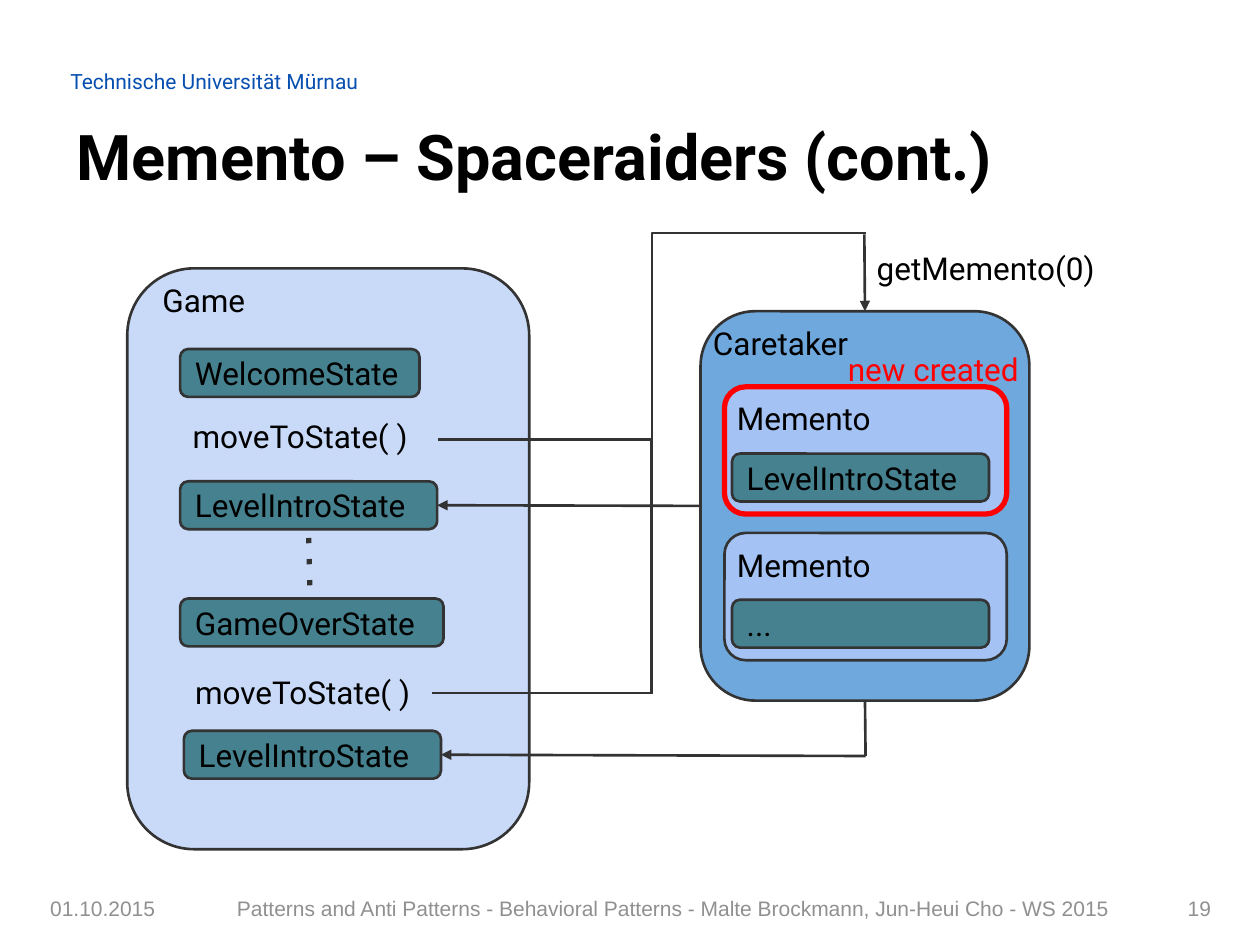
from lxml.etree import SubElement
from pptx import Presentation
from pptx.dml.color import RGBColor
from pptx.enum.shapes import MSO_CONNECTOR as Connector, MSO_SHAPE as Shape
from pptx.enum.text import MSO_ANCHOR as Anchor, MSO_AUTO_SIZE as AutoSize, PP_ALIGN as Align
from pptx.oxml.ns import qn
from pptx.util import Emu, Pt

PX = 9144  # 100 px to the inch

BLACK = RGBColor(0x00, 0x00, 0x00)
DARK = RGBColor(0x33, 0x33, 0x33)
RED = RGBColor(0xFF, 0x00, 0x00)
BLUE = RGBColor(0x07, 0x4F, 0xB0)
GREY = RGBColor(0x90, 0x90, 0x90)
GAME = RGBColor(0xC9, 0xDA, 0xF8)
CARETAKER = RGBColor(0x6F, 0xA8, 0xDC)
MEMENTO = RGBColor(0xA4, 0xC2, 0xF4)
STATE = RGBColor(0x45, 0x81, 0x8E)

TITLE = "Memento – Spaceraiders (cont.)"
UNIVERSITY = "Technische Universität Mürnau"

STATE_HEIGHT = 38
GAME_STATES = [  # text, left, top, width
    ("WelcomeState", 143, 277, 190),
    ("LevelIntroState", 143, 382, 204),
    ("GameOverState", 143, 475, 209),
    ("LevelIntroState", 146, 580, 204),
]
MEMENTOS = [  # state, top, outline colour, outline width
    ("LevelIntroState", 307, RED, 3),
    ("...", 423, DARK, 1.5),
]
LABELS = [  # text, (left, top, width, height), colour
    ("Game", (119, 213, 301, 55), BLACK),
    ("moveToState( )", (143, 321, 205, 55), BLACK),
    ("moveToState( )", (145, 524, 205, 55), BLACK),
    ("Caretaker", (556, 247, 261, 60), BLACK),
    ("new created", (663, 268, 175, 38), RED),
    ("getMemento(0)", (686, 188, 205, 55), BLACK),
]
FOOTER = [  # text, left, width, alignment
    ("01.10.2015", 30, 112, Align.LEFT),
    ("Patterns and Anti Patterns - Behavioral Patterns - Malte Brockmann, "
     "Jun-Heui Cho - WS 2015", 162, 745, Align.CENTER),
    ("19", 928, 43, Align.RIGHT),
]

TOP, LEFT, BOTTOM, RIGHT = range(4)


def px(*lengths):
    return [Emu(length * PX) for length in lengths]


def write(shape, text, size=18, color=BLACK, font="Roboto", bold=False,
          align=Align.LEFT, anchor=Anchor.TOP, inset=10):
    frame = shape.text_frame
    frame.text = text
    frame.word_wrap = True
    frame.auto_size = AutoSize.NONE
    frame.vertical_anchor = anchor
    frame.margin_left = frame.margin_right = Emu(10 * PX)
    frame.margin_top = frame.margin_bottom = Emu(inset * PX)
    para = frame.paragraphs[0]
    para.alignment = align
    span = para.runs[0].font
    span.name, span.size, span.bold = font, Pt(size), bold
    span.color.rgb = color


def add_label(page, text, place, **style):
    write(page.shapes.add_textbox(*px(*place)), text, **style)


def add_box(page, place, fill, line=DARK, width=1.5):
    box = page.shapes.add_shape(Shape.ROUNDED_RECTANGLE, *px(*place))
    box.shadow.inherit = False
    box.fill.solid()
    box.fill.fore_color.rgb = fill
    box.line.color.rgb = line
    box.line.width = Pt(width)
    return box


def add_state(page, text, left, top, width):
    box = add_box(page, (left, top, width, STATE_HEIGHT), STATE)
    write(box, text, anchor=Anchor.MIDDLE)
    return box


def add_line(page, start, end, kind=Connector.STRAIGHT, width=1.5, arrow=False, dash=None):
    """Start and end are each a point or a (box, side) pair to join."""
    joined = [not isinstance(point[0], int) for point in (start, end)]
    points = [(0, 0) if join else point for join, point in zip(joined, (start, end))]
    line = page.shapes.add_connector(kind, *px(*points[0], *points[1]))
    if joined[0]:
        line.begin_connect(*start)
    if joined[1]:
        line.end_connect(*end)
    line.line.color.rgb = DARK
    line.line.width = Pt(width)
    outline = line.line._get_or_add_ln()
    if dash:
        SubElement(outline, qn("a:prstDash"), val=dash)
    if arrow:
        SubElement(outline, qn("a:tailEnd"), type="triangle")
    SubElement(line._element.spPr, qn("a:effectLst"))


def main():
    deck = Presentation()
    deck.slide_width, deck.slide_height = px(1000, 750)
    page = deck.slides.add_slide(deck.slide_layouts[5])

    title = page.shapes.title
    title.left, title.top, title.width, title.height = px(51, 83, 913, 79)
    write(title, TITLE, size=36, bold=True)
    add_label(page, UNIVERSITY, (46, 49, 267, 30), size=12, color=BLUE,
              anchor=Anchor.BOTTOM, inset=5)

    add_box(page, (101, 213, 319, 461), GAME)
    states = [add_state(page, *state) for state in GAME_STATES]

    caretaker = add_box(page, (556, 247, 261, 309), CARETAKER)
    for state, top, line, width in MEMENTOS:
        add_box(page, (575, top, 224, 101), MEMENTO, line, width)
        add_label(page, "Memento", (575, top, 198, 53))
        add_state(page, state, 581, top + 53, 204)

    for text, place, color in LABELS:
        add_label(page, text, place, color=color)

    add_line(page, (348, 349), (687, 185), kind=Connector.ELBOW)
    add_line(page, (686, 186), (caretaker, TOP), arrow=True)
    add_line(page, (caretaker, LEFT), (states[1], RIGHT), arrow=True)
    add_line(page, (245, 427), (246, 468), width=3, dash="dot")
    add_line(page, (517, 348), (517, 550))
    add_line(page, (343, 550), (518, 550))
    add_line(page, (caretaker, BOTTOM), (687, 600))
    add_line(page, (687, 600), (states[3], RIGHT), arrow=True)

    for text, left, width, align in FOOTER:
        add_label(page, text, (left, 701, width, 40), size=12, color=GREY,
                  font="Arial", align=align, anchor=Anchor.MIDDLE, inset=5)

    deck.save("out.pptx")


if __name__ == "__main__":
    main()
